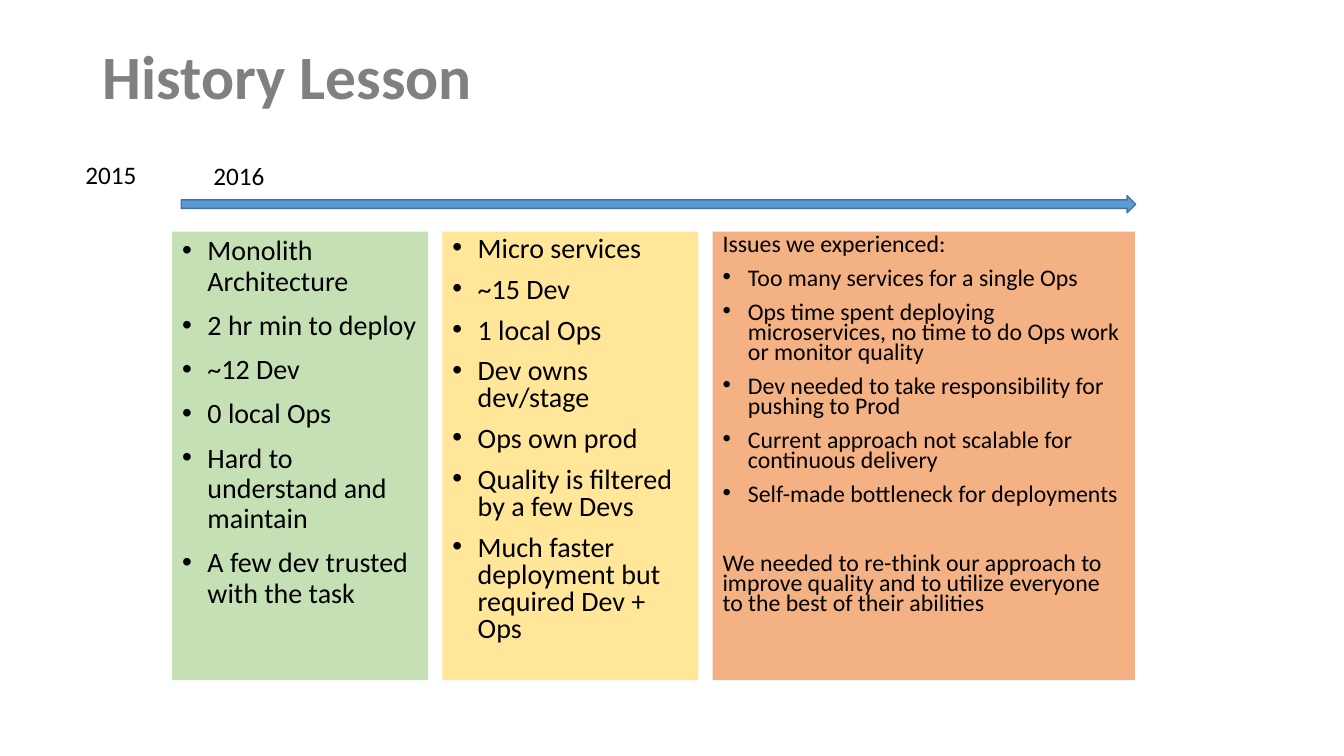
from dataclasses import dataclass

from lxml.etree import SubElement
from pptx import Presentation
from pptx.dml.color import RGBColor
from pptx.enum.shapes import MSO_SHAPE
from pptx.enum.text import MSO_ANCHOR, MSO_AUTO_SIZE, PP_ALIGN
from pptx.oxml.ns import qn
from pptx.util import Cm, Pt


@dataclass(frozen=True)
class Theme:
    font: str = "Calibri"
    title: str = "808080"
    text: str = "000000"
    arrow: str = "5B9BD5"
    arrow_line: str = "43739E"
    green: str = "C5E0B4"
    yellow: str = "FFE699"
    orange: str = "F4B183"
    title_size: int = 44
    column_size: int = 20
    issue_size: int = 17
    year_size: int = 18


@dataclass(frozen=True)
class Item:
    text: str
    bullet: bool = True
    before: float = 10


@dataclass(frozen=True)
class Column:
    width: float
    fill: str
    size: int
    spacing: float
    items: list[Item]


@dataclass(frozen=True)
class Year:
    text: str
    left: float
    top: float


T = Theme()
COLUMN_LEFT, COLUMN_TOP, COLUMN_HEIGHT, COLUMN_GAP = 4.34, 5.84, 11.3, 0.36
INDENT = Cm(0.64)

YEARS = [Year("2015", 1.9, 3.89), Year("2016", 5.13, 3.91)]

COLUMNS = [
    Column(6.45, T.green, T.column_size, 0.9, [
        Item("Monolith Architecture"),
        Item("2 hr min to deploy"),
        Item("~12 Dev"),
        Item("0 local Ops"),
        Item("Hard to understand and maintain"),
        Item("A few dev trusted with the task"),
    ]),
    Column(6.45, T.yellow, T.column_size, 0.8, [
        Item("Micro services"),
        Item("~15 Dev"),
        Item("1 local Ops"),
        Item("Dev owns dev/stage"),
        Item("Ops own prod"),
        Item("Quality is filtered by a few Devs"),
        Item("Much faster deployment but required Dev + Ops"),
    ]),
    Column(10.64, T.orange, T.issue_size, 0.7, [
        Item("Issues we experienced:", bullet=False),
        Item("Too many services for a single Ops"),
        Item("Ops time spent deploying microservices, no time to do Ops work or monitor quality"),
        Item("Dev needed to take responsibility for pushing to Prod"),
        Item("Current approach not scalable for continuous delivery"),
        Item("Self-made bottleneck for deployments"),
        Item("We needed to re-think our approach to improve quality and to utilize "
             "everyone to the best of their abilities", bullet=False, before=34.5),
    ]),
]


def add_run(p, text: str, size: int, color: str = T.text, bold: bool = False) -> None:
    r = p.add_run()
    r.text = text
    r.font.name = T.font
    r.font.size = Pt(size)
    r.font.bold = bold
    r.font.color.rgb = RGBColor.from_string(color)


def add_bullet(p) -> None:
    pPr = p._p.get_or_add_pPr()
    pPr.set("marL", str(INDENT))
    pPr.set("indent", str(-INDENT))
    SubElement(pPr, qn("a:buFont")).set("typeface", "Arial")
    SubElement(pPr, qn("a:buChar")).set("char", "•")


def add_title(s, text: str) -> None:
    sp = s.shapes.title
    sp.left, sp.top, sp.width, sp.height = Cm(2.34), Cm(1.02), Cm(29.21), Cm(1.98)
    tf = sp.text_frame
    tf.auto_size = MSO_AUTO_SIZE.NONE
    tf.vertical_anchor = MSO_ANCHOR.MIDDLE
    p = tf.paragraphs[0]
    p.alignment = PP_ALIGN.LEFT
    p.line_spacing = 0.9
    add_run(p, text, T.title_size, T.title, bold=True)


def add_year(s, year: Year) -> None:
    sp = s.shapes.add_textbox(Cm(year.left), Cm(year.top), Cm(1.8), Cm(1.02))
    sp.text_frame.word_wrap = False
    add_run(sp.text_frame.paragraphs[0], year.text, T.year_size)


def add_filled(s, kind: MSO_SHAPE, left: float, top: float, width: float, height: float, fill: str):
    sp = s.shapes.add_shape(kind, Cm(left), Cm(top), Cm(width), Cm(height))
    sp.shadow.inherit = False
    sp.fill.solid()
    sp.fill.fore_color.rgb = RGBColor.from_string(fill)
    return sp


def add_arrow(s) -> None:
    sp = add_filled(s, MSO_SHAPE.RIGHT_ARROW, 4.57, 4.93, 24.05, 0.43, T.arrow)
    sp.line.color.rgb = RGBColor.from_string(T.arrow_line)
    sp.line.width = Pt(1)


def add_column(s, column: Column, left: float) -> None:
    sp = add_filled(s, MSO_SHAPE.RECTANGLE, left, COLUMN_TOP, column.width, COLUMN_HEIGHT, column.fill)
    sp.line.fill.background()
    tf = sp.text_frame
    tf.word_wrap = True
    tf.vertical_anchor = MSO_ANCHOR.TOP
    for i, item in enumerate(column.items):
        p = tf.add_paragraph() if i else tf.paragraphs[0]
        p.alignment = PP_ALIGN.LEFT
        p.line_spacing = column.spacing
        p.space_before = Pt(item.before if i else 0)
        if item.bullet:
            add_bullet(p)
        add_run(p, item.text, column.size)


def main() -> None:
    prs = Presentation()
    prs.slide_width, prs.slide_height = Cm(33.87), Cm(19.05)
    s = prs.slides.add_slide(prs.slide_layouts[5])

    # Title
    add_title(s, "History Lesson")

    # Timeline
    for year in YEARS:
        add_year(s, year)
    add_arrow(s)

    # Columns, left to right
    left = COLUMN_LEFT
    for column in COLUMNS:
        add_column(s, column, left)
        left += column.width + COLUMN_GAP

    prs.save("out.pptx")


if __name__ == "__main__":
    main()
